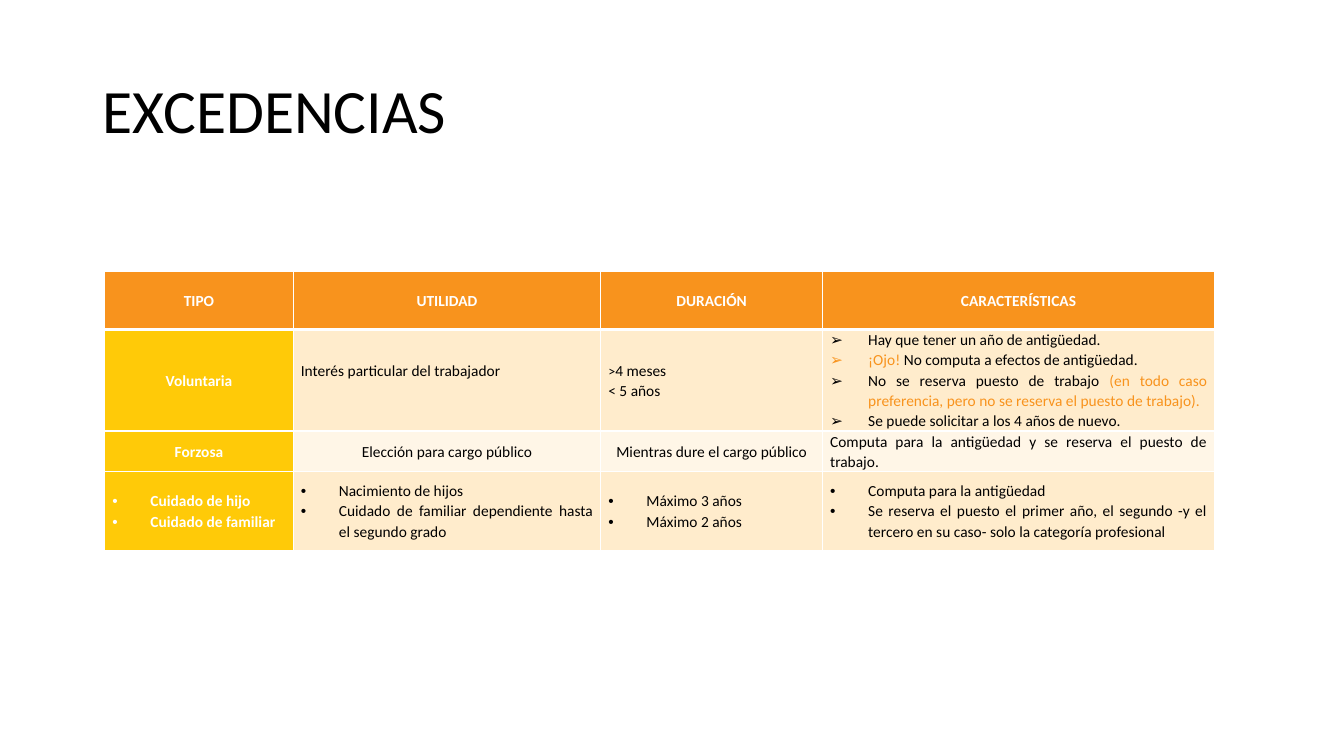
from dataclasses import dataclass

from lxml.etree import SubElement as Sub
from pptx import Presentation
from pptx.dml.color import RGBColor as Rgb
from pptx.enum.text import MSO_ANCHOR as Anchor, PP_ALIGN as Align
from pptx.oxml import parse_xml
from pptx.oxml.ns import nsdecls, qn
from pptx.util import Cm, Pt


@dataclass(frozen=True)
class Theme:
    font: str = "Calibri"
    black: str = "000000"
    white: str = "FFFFFF"
    orange: str = "F8931D"
    gold: str = "FFCA08"
    peach: str = "FFECCC"
    cream: str = "FFF6E7"
    title: float = 44
    body: float = 11
    small: float = 10
    line: float = 1
    rule: float = 3


THEME = Theme()
MID, JUST = Align.CENTER, Align.JUSTIFY
DOT, ARROW = "•", "➢"
COLS = [4.75, 7.75, 5.59, 9.88]
ROWS = [1.47, 2.46, 0.99, 1.98]
HEAD = ["TIPO", "UTILIDAD", "DURACIÓN", "CARACTERÍSTICAS"]
HOT = {"color": THEME.orange}
SMALL = {"size": THEME.small}

BODY = [
    [
        (MID, None, ["Voluntaria"]),
        (JUST, None, ["Interés particular del trabajador"]),
        (JUST, None, [[(">", SMALL), ("4 meses", {})], "< 5 años"]),
        (JUST, ARROW, [
            "Hay que tener un año de antigüedad.",
            [("¡Ojo! ", HOT), ("No computa a efectos de antigüedad.", {})],
            [("No se reserva puesto de trabajo ", {}),
             ("(en todo caso preferencia, pero no se reserva el puesto de trabajo).", HOT)],
            "Se puede solicitar a los 4 años de nuevo.",
        ]),
    ],
    [
        (MID, None, ["Forzosa"]),
        (MID, None, ["Elección para cargo público"]),
        (MID, None, ["Mientras dure el cargo público"]),
        (JUST, None, ["Computa para la antigüedad y se reserva el puesto de trabajo."]),
    ],
    [
        (JUST, DOT, ["Cuidado de hijo", "Cuidado de familiar"]),
        (JUST, DOT, ["Nacimiento de hijos",
                     "Cuidado de familiar dependiente hasta el segundo grado"]),
        (JUST, DOT, ["Máximo 3 años", "Máximo 2 años"]),
        (JUST, DOT, ["Computa para la antigüedad",
                     "Se reserva el puesto el primer año, el segundo -y el tercero "
                     "en su caso- solo la categoría profesional"]),
    ],
]


def apply(item, form):
    for name, value in form.items():
        setattr(item, name, value)


def add_run(para, text, color, size, bold=False):
    run = para.add_run()
    run.text = text
    apply(run.font, {"name": THEME.font, "size": Pt(size), "bold": bold})
    run.font.color.rgb = Rgb.from_string(color)


def add_bullet(para, mark):
    props = para._p.get_or_add_pPr()
    props.set("marL", str(Cm(0.96)))
    props.set("indent", str(-Cm(0.96)))
    Sub(props, qn("a:buFont"), typeface="Arial")
    Sub(props, qn("a:buChar"), char=mark)


def set_edges(cell, widths):
    props = cell._tc.get_or_add_tcPr()
    for spot, (side, width) in enumerate(widths.items()):
        props.insert(spot, parse_xml(
            f'<a:ln{side} {nsdecls("a")} w="{Pt(width)}"><a:solidFill>'
            f'<a:srgbClr val="{THEME.white}"/></a:solidFill></a:ln{side}>'))


def fill_cell(cell, entry, back, color, bold):
    align, mark, paras = entry
    apply(cell, {"vertical_anchor": Anchor.MIDDLE, "margin_left": Cm(0.19),
                 "margin_right": Cm(0.19), "margin_top": 0, "margin_bottom": 0})
    cell.fill.solid()
    cell.fill.fore_color.rgb = Rgb.from_string(back)
    frame = cell.text_frame
    for spot, runs in enumerate(paras):
        para = frame.add_paragraph() if spot else frame.paragraphs[0]
        apply(para, {"alignment": align, "line_spacing": 1.07})
        if mark:
            add_bullet(para, mark)
        for text, form in [(runs, {})] if isinstance(runs, str) else runs:
            add_run(para, text, **{"color": color, "size": THEME.body, "bold": bold, **form})


def add_title(slide, text, left, top, width, height):
    title = slide.shapes.title
    apply(title, {"left": Cm(left), "top": Cm(top), "width": Cm(width), "height": Cm(height)})
    title.text_frame.vertical_anchor = Anchor.MIDDLE
    para = title.text_frame.paragraphs[0]
    apply(para, {"alignment": Align.LEFT, "line_spacing": 0.9})
    add_run(para, text, THEME.black, THEME.title)


def add_grid(slide, left, top):
    lines = [[(MID, None, [text]) for text in HEAD], *BODY]
    table = slide.shapes.add_table(
        len(ROWS), len(COLS), Cm(left), Cm(top), Cm(sum(COLS)), Cm(sum(ROWS))).table
    for col, width in zip(table.columns, COLS):
        col.width = Cm(width)
    for row, height in zip(table.rows, ROWS):
        row.height = Cm(height)
    for r, line in enumerate(lines):
        for c, entry in enumerate(line):
            cell = table.cell(r, c)
            strong = r == 0 or c == 0
            band = THEME.peach if r % 2 else THEME.cream
            back = THEME.orange if r == 0 else THEME.gold if c == 0 else band
            fill_cell(cell, entry, back, THEME.white if strong else THEME.black, strong)
            set_edges(cell, {"L": THEME.line, "R": THEME.line,
                             "T": THEME.rule if r == 1 else THEME.line,
                             "B": THEME.rule if r == 0 else THEME.line})
    table.cell(1, 1).margin_bottom = Cm(0.51)


def main():
    deck = Presentation()
    apply(deck, {"slide_width": Cm(33.87), "slide_height": Cm(19.05)})
    slide = deck.slides.add_slide(deck.slide_layouts[5])
    add_title(slide, "EXCEDENCIAS", 2.34, 1.02, 29.21, 3.68)
    add_grid(slide, 2.64, 6.83)
    deck.save("out.pptx")


if __name__ == "__main__":
    main()
